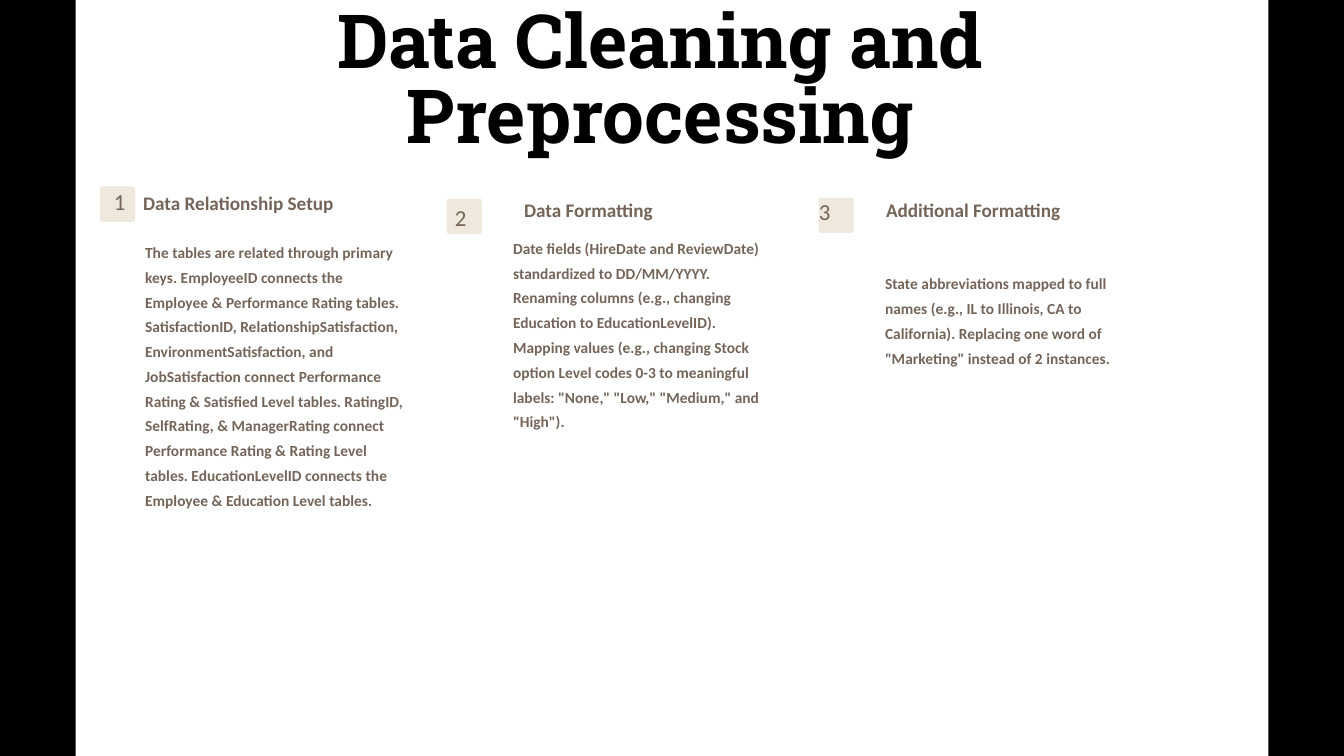
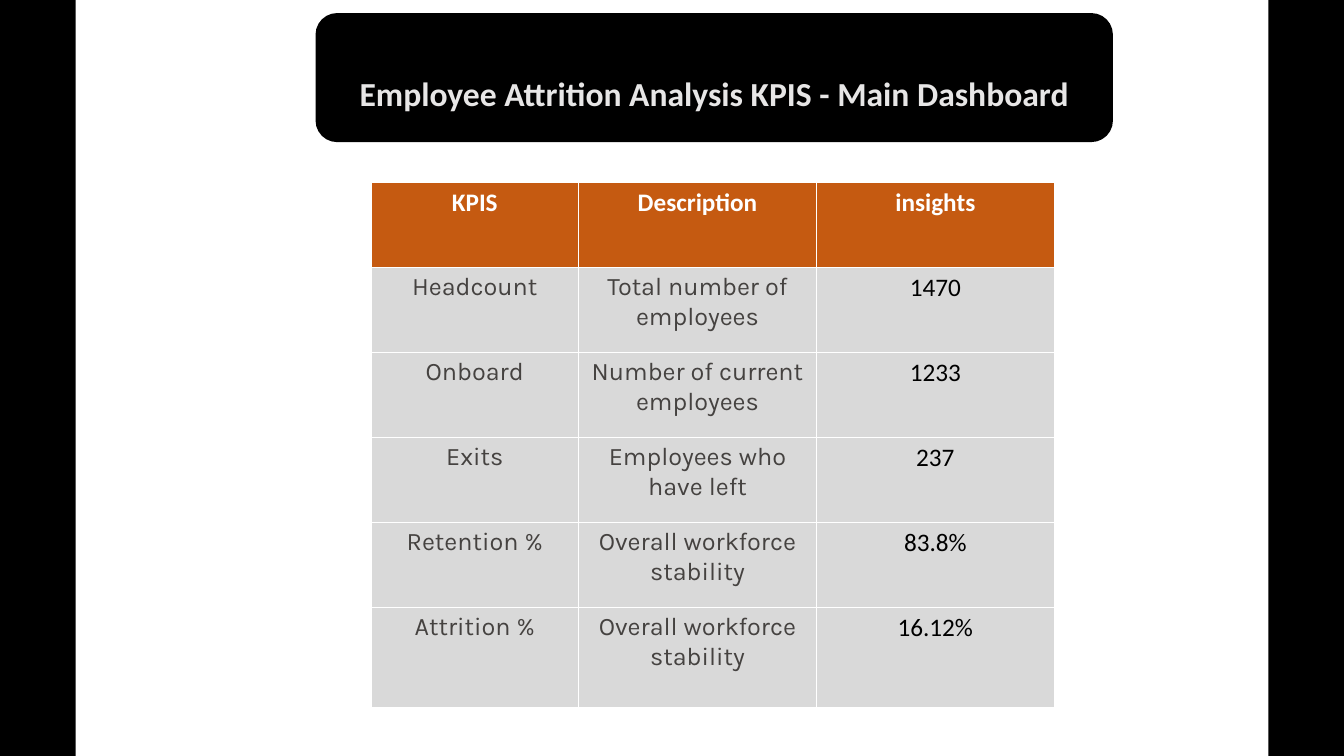
"""Build two slides on cleaning and measuring employee data."""
from dataclasses import dataclass

from pptx import Presentation, util as u
from pptx.dml.color import RGBColor
from pptx.enum import shapes, text


@dataclass(frozen=True)
class Theme:
    black: str = "000000"
    white: str = "FFFFFF"
    sand: str = "EEE8DD"
    brown: str = "746558"
    pale: str = "E7E6E6"
    rust: str = "C55A11"
    grey: str = "D9D9D9"
    ink: str = "454240"
    slab: str = "Roboto Slab"
    sans: str = "Calibri"
    soft: str = "Karla"
    title: float = 53.3
    panel: float = 24
    cell: float = 18
    mark: float = 16.3
    head: float = 13.7
    body: float = 11


T = Theme()
BAND = 5.62
CHIP = 2.62, 4.67


def write(frame, words, size, color, font=T.sans, bold=False, mid=False, line=None):
    para = frame.paragraphs[0]
    para.alignment = text.PP_ALIGN.CENTER if mid else text.PP_ALIGN.LEFT
    if line:
        para.line_spacing = u.Pt(line)
    run = para.add_run()
    run.text = words
    run.font.size = u.Pt(size)
    run.font.name = font
    run.font.bold = bold
    run.font.color.rgb = RGBColor.from_string(color)


class Deck:
    def __init__(self):
        self.prs = Presentation()
        self.prs.slide_width = u.Inches(13.33)
        self.prs.slide_height = u.Inches(7.5)
        self.slide = None

    def x(self, cols):
        return round(self.prs.slide_width * cols / 100)

    def y(self, rows):
        return round(self.prs.slide_height * rows / 100)

    def box(self, left, top, wide, high):
        return self.x(left), self.y(top), self.x(wide), self.y(high)

    def start(self):
        self.slide = self.prs.slides.add_slide(self.prs.slide_layouts[5])
        for left in (0, 100 - BAND):
            self.block((left, 0, BAND, 100), T.black, shapes.MSO_SHAPE.RECTANGLE)

    def block(self, area, fill, kind=shapes.MSO_SHAPE.ROUNDED_RECTANGLE, curve=None):
        shape = self.slide.shapes.add_shape(kind, *self.box(*area))
        shape.shadow.inherit = False
        shape.fill.solid()
        shape.fill.fore_color.rgb = RGBColor.from_string(fill)
        shape.line.fill.background()
        if curve is not None:
            shape.adjustments[0] = curve
        return shape

    def fit(self, frame, anchor):
        frame.word_wrap = True
        frame.auto_size = text.MSO_AUTO_SIZE.NONE
        frame.vertical_anchor = anchor
        frame.margin_left = frame.margin_right = 0
        frame.margin_top = frame.margin_bottom = 0

    def title(self, words, area, anchor=text.MSO_ANCHOR.TOP, **form):
        shape = self.slide.shapes.title
        shape.left, shape.top, shape.width, shape.height = self.box(*area)
        self.fit(shape.text_frame, anchor)
        write(shape.text_frame, words, mid=True, bold=True, **form)
        return shape

    def panel(self, words, area):
        back = self.block(area, T.black)
        front = self.title(words, area, text.MSO_ANCHOR.MIDDLE,
                           size=T.panel, color=T.pale, line=50.4)
        back._element.addnext(front._element)

    def note(self, words, area, **form):
        frame = self.slide.shapes.add_textbox(*self.box(*area)).text_frame
        self.fit(frame, text.MSO_ANCHOR.TOP)
        write(frame, words, color=T.brown, **form)

    def step(self, num, chip, mark, head, body, high, name, words):
        self.block((*chip, *CHIP), T.sand, curve=0.07)
        self.note(str(num), (*mark, 1, 3.07), size=T.mark, mid=True, line=16.3)
        self.note(name, (*head, 17.2, 3.2), size=T.head, bold=True, line=17)
        self.note(words, (*body, 19.5, high), size=T.body, bold=True, line=17.7)

    def table(self, data, spot, wides, highs):
        area = (*spot, sum(wides), sum(highs))
        grid = self.slide.shapes.add_table(len(highs), len(wides), *self.box(*area)).table
        for col, wide in zip(grid.columns, wides):
            col.width = self.x(wide)
        for row, high in zip(grid.rows, highs):
            row.height = self.y(high)
        key = dict(color=T.ink, font=T.soft)
        looks = key, key, dict(color=T.black)
        for r, row in enumerate(data):
            for c, words in enumerate(row):
                cell = grid.cell(r, c)
                cell.fill.solid()
                cell.fill.fore_color.rgb = RGBColor.from_string(T.grey if r else T.rust)
                look = looks[c] if r else dict(color=T.white, bold=True)
                write(cell.text_frame, words, T.cell, mid=True, **look)


STEPS = [
    ((7.43, 24.67), (8.4, 25.47), (10.65, 25.2), (10.8, 31.33), 42.67,
     "Data Relationship Setup",
     "The tables are related through primary keys. EmployeeID connects the "
     "Employee & Performance Rating tables. SatisfactionID, RelationshipSatisfaction, "
     "EnvironmentSatisfaction, and JobSatisfaction connect Performance Rating & "
     "Satisfied Level tables. RatingID, SelfRating, & ManagerRating connect "
     "Performance Rating & Rating Level tables. EducationLevelID connects the "
     "Employee & Education Level tables."),
    ((33.23, 26.27), (33.78, 27.6), (39, 26.13), (38.18, 30.8), 29.47,
     "Data Formatting",
     "Date fields (HireDate and ReviewDate) standardized to DD/MM/YYYY. "
     "Renaming columns (e.g., changing Education to EducationLevelID). "
     "Mapping values (e.g., changing Stock option Level codes 0-3 to meaningful "
     'labels: "None," "Low," "Medium," and "High").'),
    ((60.9, 26.13), (60.85, 26.8), (65.93, 26.13), (65.85, 35.47), 13.07,
     "Additional Formatting",
     "State abbreviations mapped to full names (e.g., IL to Illinois, CA to "
     'California). Replacing one word of "Marketing" instead of 2 instances.'),
]

KPIS = [
    ("KPIS", "Description", "insights"),
    ("Headcount", "Total number of employees", "1470"),
    ("Onboard", "Number of current employees", "1233"),
    ("Exits", "Employees who have left", "237"),
    ("Retention %", "Overall workforce stability", "83.8%"),
    ("Attrition %", "Overall workforce stability", "16.12%"),
]


def main():
    deck = Deck()
    deck.start()
    deck.title("Data Cleaning and Preprocessing", (10.8, 1.2, 76.65, 29.73),
               size=T.title, color=T.black, font=T.slab, line=53.3)
    for num, step in enumerate(STEPS, 1):
        deck.step(num, *step)

    deck.start()
    deck.panel("Employee Attrition Analysis KPIS - Main Dashboard",
               (23.48, 1.73, 59.33, 17.07))
    deck.table(KPIS, (27.6, 24.13), (15.45, 17.7, 17.7), [11.25] * 5 + [13.2])
    deck.prs.save("out.pptx")


if __name__ == "__main__":
    main()
